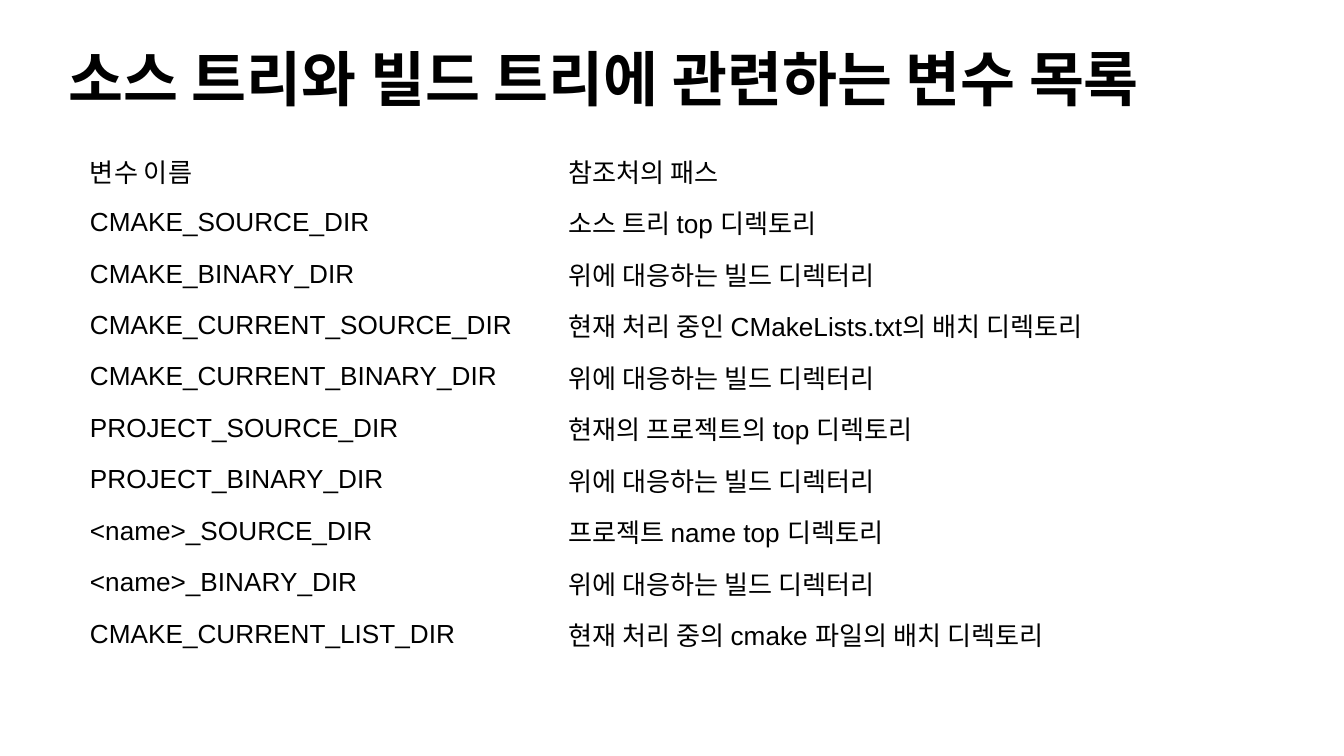
from lxml import etree
from pptx import Presentation
from pptx.dml.color import RGBColor
from pptx.enum import text
from pptx.oxml import ns
from pptx.util import Pt

TITLE = "소스 트리와 빌드 트리에 관련하는 변수 목록"
BUILD_PATH = "위에 대응하는 빌드 디렉터리"
ROWS = [
    ("변수 이름", "참조처의 패스"),
    ("CMAKE_SOURCE_DIR", "소스 트리 top 디렉토리"),
    ("CMAKE_BINARY_DIR", BUILD_PATH),
    ("CMAKE_CURRENT_SOURCE_DIR", "현재 처리 중인 CMakeLists.txt의 배치 디렉토리"),
    ("CMAKE_CURRENT_BINARY_DIR", BUILD_PATH),
    ("PROJECT_SOURCE_DIR", "현재의 프로젝트의 top 디렉토리"),
    ("PROJECT_BINARY_DIR", BUILD_PATH),
    ("<name>_SOURCE_DIR", "프로젝트 name top 디렉토리"),
    ("<name>_BINARY_DIR", BUILD_PATH),
    ("CMAKE_CURRENT_LIST_DIR", "현재 처리 중의 cmake 파일의 배치 디렉토리"),
]
COLORS = {"text": "000000"}
KOREAN_FONT = "Noto Sans CJK KR"
COLUMN_WIDTHS = (256.3, 391.7)
ROW_HEIGHT = 27.6


def write_text(frame, content, size=14, font="Arial", bold=False):
    """Fill a text frame with one formatted run."""
    run = frame.paragraphs[0].add_run()
    run.text = content
    run.font.size = Pt(size)
    run.font.name = font
    run.font.bold = bold
    run.font.color.rgb = RGBColor.from_string(COLORS["text"])
    east_asian = etree.SubElement(run._r.get_or_add_rPr(), ns.qn("a:ea"))
    east_asian.set("typeface", KOREAN_FONT)


def add_title(slide):
    """Add the slide heading."""
    frame = slide.shapes.add_textbox(Pt(29.5), Pt(15.1), Pt(670.3), Pt(41)).text_frame
    frame.word_wrap = True
    frame.vertical_anchor = text.MSO_ANCHOR.TOP
    frame.margin_left = frame.margin_right = Pt(7.2)
    frame.margin_top = frame.margin_bottom = Pt(7.2)
    write_text(frame, TITLE, size=32, font=KOREAN_FONT, bold=True)


def add_variable_table(slide):
    """Add the plain table of variables and the paths they refer to."""
    table = slide.shapes.add_table(
        len(ROWS), len(COLUMN_WIDTHS), Pt(41), Pt(77.8),
        Pt(sum(COLUMN_WIDTHS)), Pt(ROW_HEIGHT * len(ROWS))).table
    table.first_row = table.horz_banding = False
    for column, width in zip(table.columns, COLUMN_WIDTHS):
        column.width = Pt(width)
    for row, contents in zip(table.rows, ROWS):
        row.height = Pt(ROW_HEIGHT)
        for cell, content in zip(row.cells, contents):
            cell.fill.background()
            cell.vertical_anchor = text.MSO_ANCHOR.MIDDLE
            write_text(cell.text_frame, content)


presentation = Presentation()
presentation.slide_width, presentation.slide_height = Pt(720), Pt(405)
slide = presentation.slides.add_slide(presentation.slide_layouts[6])
add_title(slide)
add_variable_table(slide)
presentation.save("out.pptx")
